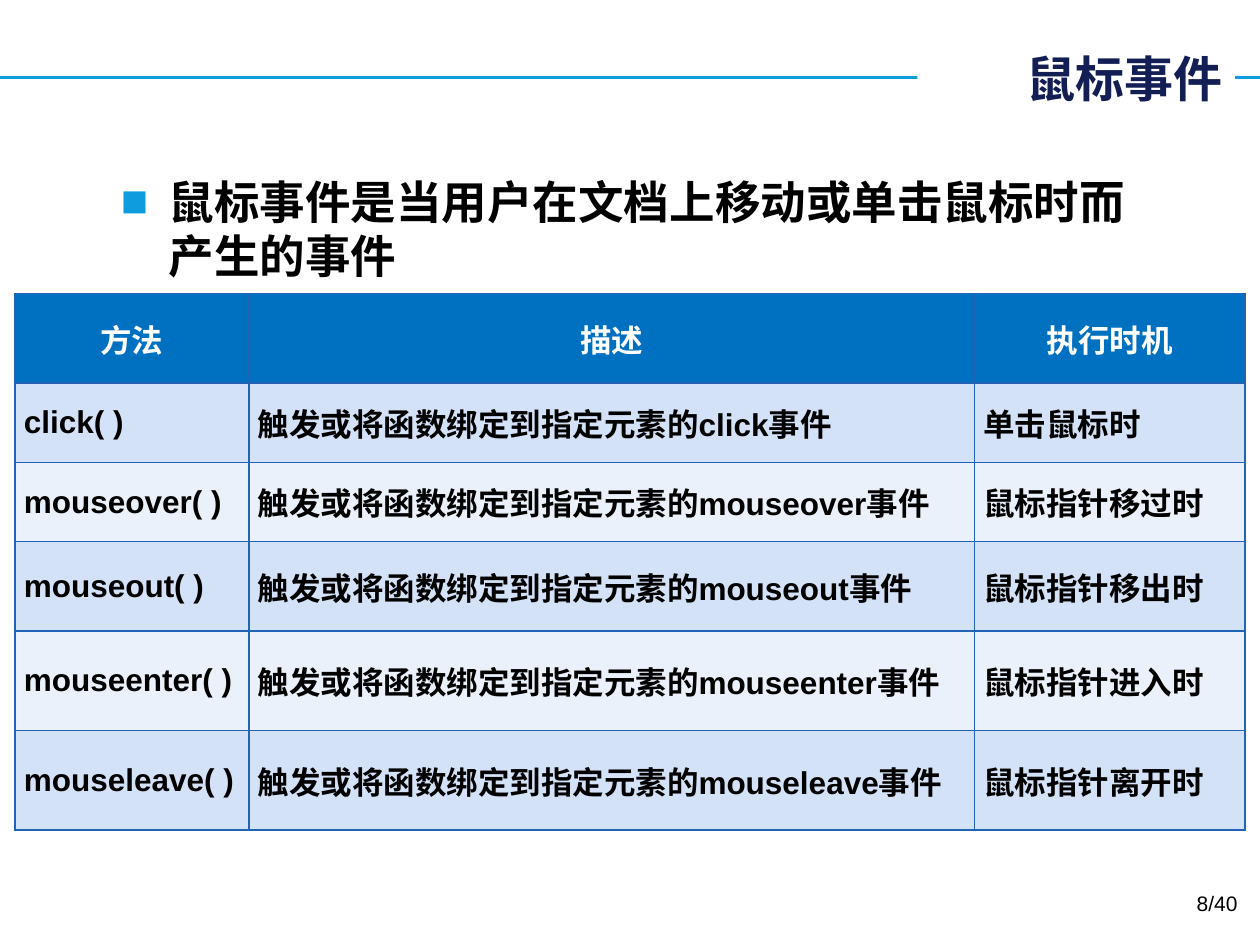
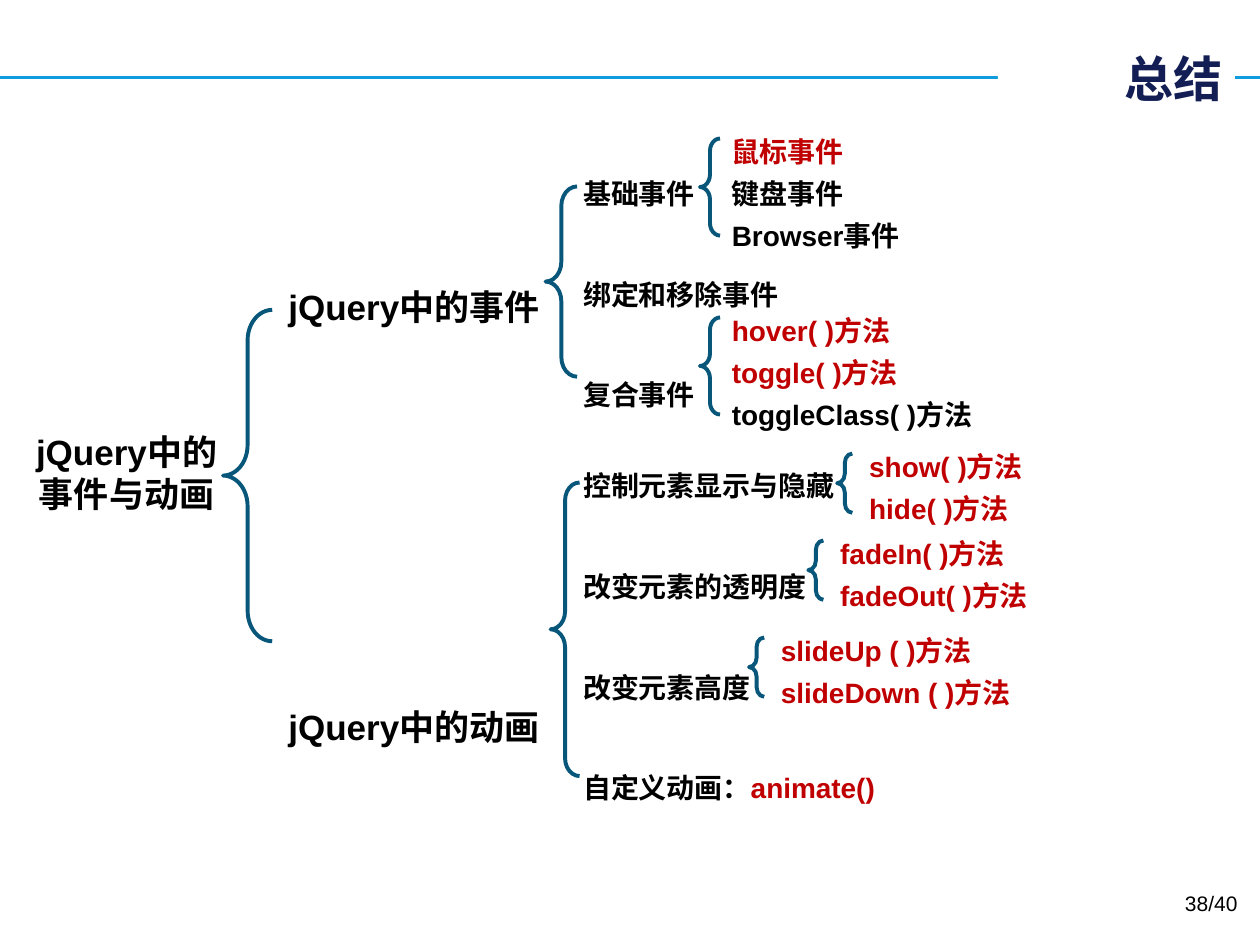
from dataclasses import dataclass

from lxml.etree import SubElement
from pptx import Presentation
from pptx.dml.color import RGBColor
from pptx.enum.shapes import MSO_CONNECTOR as Connector, MSO_SHAPE as Preset
from pptx.enum.text import MSO_ANCHOR as Anchor, MSO_AUTO_SIZE as Fit, PP_ALIGN as Align
from pptx.oxml.ns import qn
from pptx.util import Inches, Pt


@dataclass(frozen=True)
class Theme:
    rule: str = "0E9CDE"
    title: str = "121E54"
    ink: str = "000000"
    paper: str = "FFFFFF"
    accent: str = "C00000"
    brace: str = "08577A"
    header: str = "0070C0"
    border: str = "2163B4"
    bands: tuple = ("D3E2F7", "EAF1FB")
    latin: str = "Arial"
    chinese: str = "Noto Sans CJK SC"
    title_size: float = 28
    body_size: float = 26
    branch_size: float = 20
    table_size: float = 18
    leaf_size: float = 16
    footer_size: float = 12
    stroke: float = 2.25


THEME = Theme()
WIDTH, HEIGHT = Inches(10), Inches(7.5)
COLUMNS, ROWS = 100, 75


@dataclass(frozen=True)
class Box:
    left: float
    top: float
    width: float
    height: float

    def inner(self, left, top, width, height):
        return Box(self.left + left, self.top + top, width, height)

    def emu(self):
        column, row = WIDTH / COLUMNS, HEIGHT / ROWS
        return (round(self.left * column), round(self.top * row),
                round(self.width * column), round(self.height * row))


PAGE = Box(0, 0, COLUMNS, ROWS)


def rgb(code):
    return RGBColor.from_string(code)


def place(shape, box):
    shape.left, shape.top, shape.width, shape.height = box.emu()


def write(paragraph, text, size, color=THEME.ink, bold=True, latin=THEME.latin,
          align=Align.LEFT, spacing=None):
    paragraph.text = text
    paragraph.alignment = align
    if spacing:
        paragraph.line_spacing = spacing
    font = paragraph.font
    font.size, font.bold, font.name = Pt(size), bold, latin
    font.color.rgb = rgb(color)
    defaults = paragraph._p.pPr.find(qn("a:defRPr"))
    SubElement(defaults, qn("a:ea")).set("typeface", THEME.chinese)


def label(slide, box, lines, size, spacings=(None,), accents=(), **style):
    textbox = slide.shapes.add_textbox(*box.emu())
    frame = textbox.text_frame
    frame.word_wrap = True
    frame.auto_size = Fit.SHAPE_TO_FIT_TEXT
    for i, text in enumerate(lines):
        paragraph = frame.add_paragraph() if i else frame.paragraphs[0]
        color = THEME.accent if text in accents else THEME.ink
        write(paragraph, text, size, color, spacing=spacings[min(i, len(spacings) - 1)], **style)
    return frame


def header(slide, heading, box):
    middle = round(HEIGHT * (box.top + box.height / 2) / ROWS)
    rule = slide.shapes.add_connector(Connector.STRAIGHT, 0, middle, WIDTH, middle)
    rule.line.color.rgb = rgb(THEME.rule)
    rule.line.width = Pt(THEME.stroke)
    SubElement(rule._element.spPr, qn("a:effectLst"))
    slide.shapes._spTree.insert(2, rule._element)

    title = slide.shapes.title
    width = 12.4 + 3.2 * len(heading)
    place(title, box.inner(box.width - width, 0, width, box.height))
    title.fill.solid()
    title.fill.fore_color.rgb = rgb(THEME.paper)
    frame = title.text_frame
    frame.vertical_anchor = Anchor.MIDDLE
    frame.auto_size = Fit.NONE
    write(frame.paragraphs[0], heading, THEME.title_size, THEME.title,
          latin=THEME.chinese, align=Align.RIGHT)


def page_number(slide, number, box):
    label(slide, box, [f"{number}/40"], THEME.footer_size, bold=False, align=Align.RIGHT)


def start_slide(deck, layout, heading, number):
    slide = deck.slides.add_slide(deck.slide_layouts[layout])
    header(slide, heading, PAGE.inner(0, 3.3, 98, 5.7))
    page_number(slide, number, PAGE.inner(75.9, 70.2, 23.3, 4))
    return slide


def definition(slide, text, box):
    body = slide.placeholders[1]
    place(body, box)
    frame = body.text_frame
    frame.auto_size = Fit.NONE
    paragraph = frame.paragraphs[0]
    write(paragraph, text, THEME.body_size)
    properties = paragraph._p.pPr
    properties.set("marL", str(Inches(0.38)))
    properties.set("indent", str(-Inches(0.38)))
    defaults = properties.find(qn("a:defRPr"))
    bullet_color = SubElement(properties, qn("a:buClr"))
    SubElement(bullet_color, qn("a:srgbClr")).set("val", THEME.rule)
    bullet = SubElement(properties, qn("a:buChar"))
    bullet.set("char", "■")
    defaults.addprevious(bullet_color)
    defaults.addprevious(bullet)


def outline_cell(cell):
    properties = cell._tc.get_or_add_tcPr()
    for position, side in enumerate(("a:lnL", "a:lnR", "a:lnT", "a:lnB")):
        line = SubElement(properties, qn(side))
        line.set("w", str(Pt(1)))
        fill = SubElement(line, qn("a:solidFill"))
        SubElement(fill, qn("a:srgbClr")).set("val", THEME.border)
        properties.insert(position, line)


def event_table(slide, rows, box):
    column_shares = (0.19, 0.59, 0.22)
    row_heights = (7.1, 6.3, 6.3, 7.1, 7.9, 7.9)
    left, top, width, height = box.emu()
    table = slide.shapes.add_table(len(rows), len(column_shares), left, top, width, height).table
    for column, share in zip(table.columns, column_shares):
        column.width = round(width * share)
    for row, units in zip(table.rows, row_heights):
        row.height = round(HEIGHT * units / ROWS)
    for r, texts in enumerate(rows):
        for c, text in enumerate(texts):
            cell = table.cell(r, c)
            cell.fill.solid()
            cell.fill.fore_color.rgb = rgb(THEME.bands[(r - 1) % 2] if r else THEME.header)
            cell.vertical_anchor = Anchor.MIDDLE
            cell.margin_left = cell.margin_right = Inches(0.07)
            cell.margin_top = cell.margin_bottom = 0
            paragraph = cell.text_frame.paragraphs[0]
            write(paragraph, text, THEME.table_size, THEME.ink if r else THEME.paper,
                  align=Align.LEFT if r else Align.CENTER)
            paragraph.space_before = Pt(THEME.table_size * 0.2)
            outline_cell(cell)


def brace(slide, box):
    curve = slide.shapes.add_shape(Preset.LEFT_BRACE, *box.emu())
    curve.shadow.inherit = False
    curve.fill.background()
    curve.line.color.rgb = rgb(THEME.brace)
    curve.line.width = Pt(THEME.stroke)
    curve.adjustments[0] = 0.62
    curve.adjustments[1] = 0.5


def leaf_group(slide, leaves, accents, box):
    count = len(leaves)
    brace(slide, box.inner(-1.55, 1.5, 0.8 + 0.4 * (count - 1), 3 * count - 1.3))
    label(slide, box, leaves, THEME.leaf_size, (Pt(24),), accents)


def summary_tree(slide, box):
    label(slide, box.inner(0, 24.2, 16.9, 7.7), ["jQuery中的事件与动画"],
          THEME.branch_size, align=Align.CENTER)
    label(slide, box.inner(20.3, 12.7, 23.3, 38), ["jQuery中的事件", "jQuery中的动画"],
          THEME.branch_size, (None, 9.99))

    topics = (
        (4, 17.6, ["基础事件", "绑定和移除事件", "复合事件"]),
        (27.2, 27.2, ["控制元素显示与隐藏", "改变元素的透明度", "改变元素高度", "自定义动画："]),
    )
    for top, width, lines in topics:
        frame = label(slide, box.inner(43.7, top, width, 8 * len(lines) - 4.1), lines,
                      THEME.leaf_size, (None, 3.0))
    animate = frame.paragraphs[-1].add_run()
    animate.text = "animate()"
    animate.font.color.rgb = rgb(THEME.accent)

    for left, top, width, height in ((16.1, 15.1, 3.9, 26.3), (41.7, 5.3, 2.5, 15.1),
                                     (42.1, 28.8, 2.3, 23.3)):
        brace(slide, box.inner(left, top, width, height))

    groups = (
        (55.5, 0, 22.2, ["鼠标事件", "键盘事件", "Browser事件"], 1),
        (55.5, 14.2, 22.2, ["hover( )方法", "toggle( )方法", "toggleClass( )方法"], 2),
        (66.4, 25, 18.2, ["show( )方法", "hide( )方法"], 2),
        (64.1, 31.9, 18.2, ["fadeIn( )方法", "fadeOut( )方法"], 2),
        (59.4, 39.6, 23, ["slideUp ( )方法", "slideDown ( )方法"], 2),
    )
    for left, top, width, leaves, accented in groups:
        leaf_group(slide, leaves, leaves[:accented],
                   box.inner(left, top, width, 3.3 * len(leaves) + 1))


def mouse_events_slide(deck):
    slide = start_slide(deck, 1, "鼠标事件", 8)
    definition(slide, "鼠标事件是当用户在文档上移动或单击鼠标时而产生的事件",
               PAGE.inner(8.6, 13.3, 83.6, 10.8))
    timings = {
        "click": "单击鼠标时",
        "mouseover": "鼠标指针移过时",
        "mouseout": "鼠标指针移出时",
        "mouseenter": "鼠标指针进入时",
        "mouseleave": "鼠标指针离开时",
    }
    rows = [("方法", "描述", "执行时机")]
    rows += [(f"{event}( )", f"触发或将函数绑定到指定元素的{event}事件", timing)
             for event, timing in timings.items()]
    event_table(slide, rows, PAGE.inner(1.2, 23.3, 97.6, 42.5))


def summary_slide(deck):
    slide = start_slide(deck, 5, "总结", 38)
    summary_tree(slide, PAGE.inner(1.6, 9.5, 84.6, 55.1))


def main():
    deck = Presentation()
    deck.slide_width, deck.slide_height = WIDTH, HEIGHT
    mouse_events_slide(deck)
    summary_slide(deck)
    deck.save("out.pptx")


if __name__ == "__main__":
    main()
